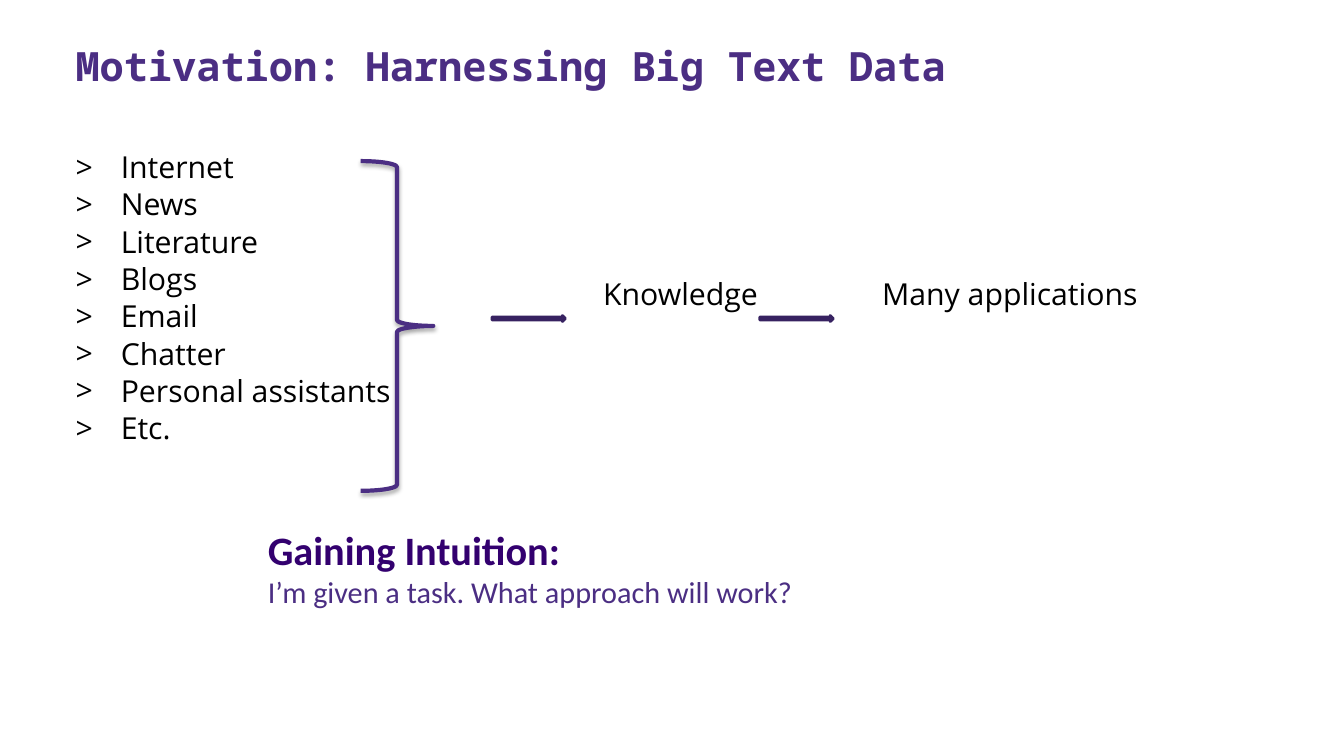
from lxml import etree
from pptx import Presentation
from pptx.dml.color import RGBColor
from pptx.enum.shapes import MSO_SHAPE
from pptx.enum.text import MSO_ANCHOR, MSO_AUTO_SIZE, PP_ALIGN
from pptx.oxml.ns import qn
from pptx.util import Cm, Pt

BRACE = MSO_SHAPE.RIGHT_BRACE
ARROW = MSO_SHAPE.RIGHT_ARROW
LEFT = PP_ALIGN.LEFT
TOP = MSO_ANCHOR.TOP
BOTTOM = MSO_ANCHOR.BOTTOM
FIXED = MSO_AUTO_SIZE.NONE
GROW = MSO_AUTO_SIZE.SHAPE_TO_FIT_TEXT

COLORS = {
    "purple": "4B2E83",
    "edge": "372261",
    "deep": "33006F",
    "ink": "000000",
    "paper": "FFFFFF",
}
MONO = "Noto Sans Mono"
SANS = "Open Sans"
NOTE = "Calibri"
BIG = 28.8
SMALL = 21.6
ROW = 1.064
SOURCES = ["Internet", "News", "Literature", "Blogs", "Email", "Chatter",
           "Personal assistants", "Etc."]


def tint(name):
    return RGBColor.from_string(COLORS[name])


def place(shape, box):
    shape.left, shape.top, shape.width, shape.height = map(Cm, box)


def style(para, face, size, color, bold=False):
    para.alignment = LEFT
    for run in para.runs:
        font = run.font
        font.name = face
        font.size = Pt(size)
        font.bold = bold
        font.color.rgb = tint(color)


def mark(para):
    props = para._p.get_or_add_pPr()
    props.set("marL", str(Cm(1.14)))
    props.set("indent", str(-Cm(1.14)))
    etree.SubElement(props, qn("a:buFont"), typeface=SANS)
    etree.SubElement(props, qn("a:buChar"), char=">")


def add_title(slide, box):
    title = slide.shapes.title
    place(title, box)
    frame = title.text_frame
    frame.text = "Motivation: Harnessing Big Text Data"
    frame.auto_size = FIXED
    frame.vertical_anchor = BOTTOM
    style(frame.paragraphs[0], MONO, BIG, "purple", True)


def add_list(slide, box):
    body = slide.placeholders[1]
    place(body, box)
    body.fill.solid()
    body.fill.fore_color.rgb = tint("paper")
    frame = body.text_frame
    frame.text = "\n".join(SOURCES)
    frame.auto_size = FIXED
    frame.vertical_anchor = TOP
    for i, para in enumerate(frame.paragraphs):
        mark(para)
        para.space_before = Pt(0.75 if i else 0)
        style(para, SANS, SMALL, "ink")


def add_brace(slide, box):
    brace = slide.shapes.add_shape(BRACE, *map(Cm, box))
    brace.fill.background()
    brace.line.color.rgb = tint("purple")
    brace.line.width = Pt(3)
    brace.shadow.inherit = False
    effects = brace._element.spPr.find(qn("a:effectLst"))
    shade = etree.SubElement(effects, qn("a:outerShdw"), blurRad=str(Pt(3.1)),
                             dist=str(Pt(1.8)), dir="5400000", rotWithShape="0")
    color = etree.SubElement(shade, qn("a:srgbClr"), val=COLORS["ink"])
    etree.SubElement(color, qn("a:alpha"), val="35000")


def add_step(slide, box, gap, text):
    left, top, width, height = box
    arrow = slide.shapes.add_shape(ARROW, Cm(left), Cm(top + 1.15), Cm(1.85), Cm(0.15))
    arrow.shadow.inherit = False
    arrow.fill.solid()
    arrow.fill.fore_color.rgb = tint("purple")
    arrow.line.color.rgb = tint("edge")
    arrow.line.width = Pt(2)
    label = slide.shapes.add_textbox(Cm(left + gap), Cm(top), Cm(width - gap), Cm(height))
    frame = label.text_frame
    frame.margin_left = frame.margin_right = 0
    frame.text = text
    style(frame.paragraphs[0], SANS, SMALL, "ink")


def add_note(slide, box):
    note = slide.shapes.add_textbox(*map(Cm, box))
    frame = note.text_frame
    frame.word_wrap = False
    frame.auto_size = GROW
    frame.text = "Gaining Intuition:\nI’m given a task. What approach will work?"
    head, line = frame.paragraphs
    style(head, NOTE, BIG, "deep", True)
    style(line, NOTE, SMALL, "purple")


def main():
    deck = Presentation()
    deck.slide_width = Cm(33.87)
    deck.slide_height = Cm(19.05)
    slide = deck.slides.add_slide(deck.slide_layouts[1])
    top = 3.61
    level = top + SOURCES.index("Blogs") * ROW
    add_title(slide, (1.65, 0.3, 30.35, 2.08))
    add_list(slide, (1.65, top, 30.35, 11.56))
    add_brace(slide, (9.09, 4.06, 1.83, 8.31))
    add_step(slide, (12.4, level, 6.9, 1.3), 2.8, "Knowledge")
    add_step(slide, (19.15, level, 10.2, 1.3), 3.08, "Many applications")
    add_note(slide, (6.5, 13.11, 13.89, 2.41))
    deck.save("out.pptx")


if __name__ == "__main__":
    main()
